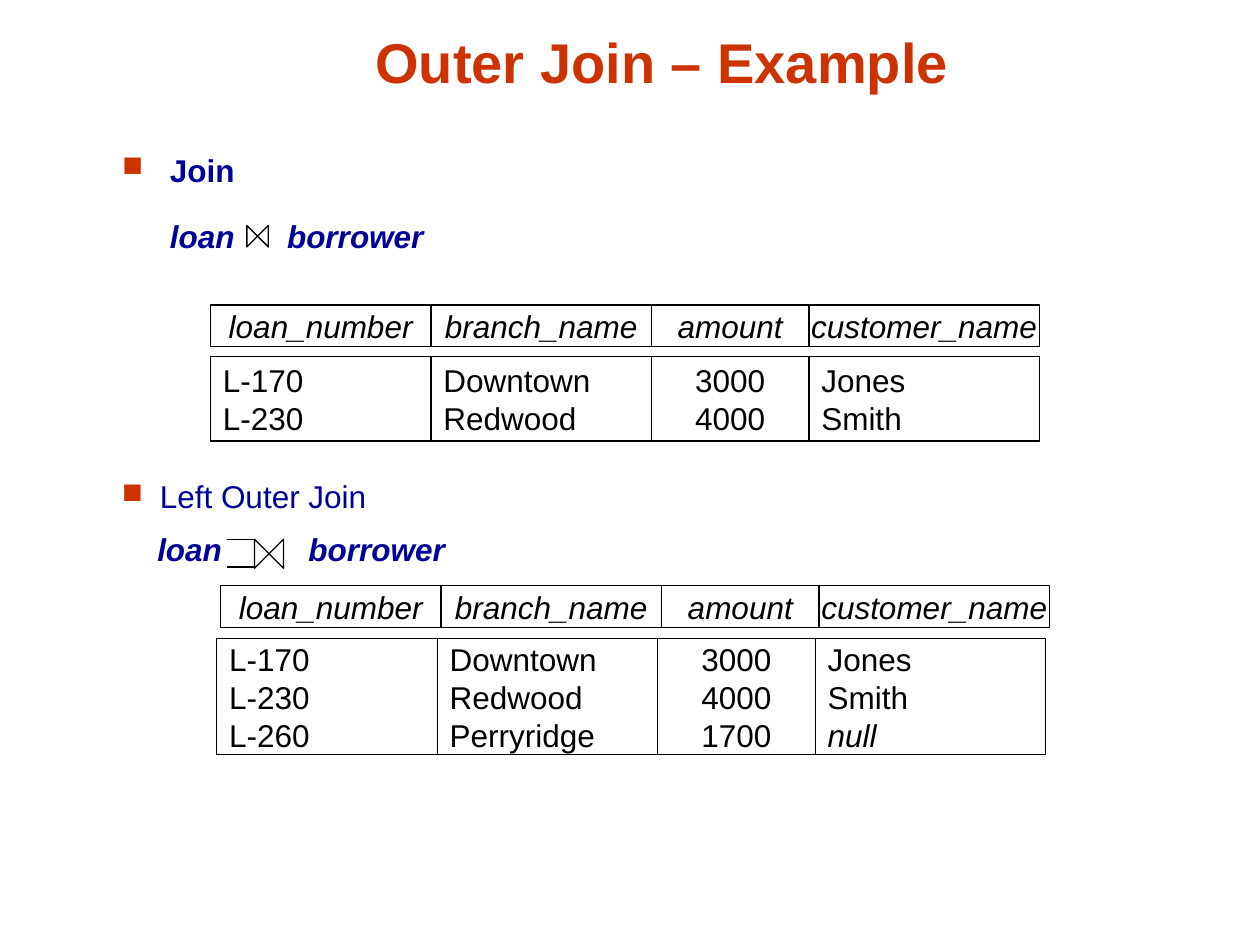
"""Build the outer join example slide."""
from itertools import accumulate
from lxml import etree
from pptx import Presentation
from pptx.dml.color import RGBColor
from pptx.enum.shapes import MSO_CONNECTOR as Conn, MSO_SHAPE as Kind
from pptx.enum.text import MSO_ANCHOR as Anchor, PP_ALIGN as Align
from pptx.oxml.ns import qn
from pptx.util import Inches, Pt

RED, NAVY, BLACK, WHITE = "CC3300", "000099", "000000", "FFFFFF"
BASE = {"name": "Arial", "size": Pt(18)}
TITLE = {"name": "Arial", "size": Pt(32), "bold": True}
BOLD = BASE | {"bold": True}
ITALIC = BASE | {"italic": True}
TERM = BOLD | {"italic": True}

HEADS = ["loan_number", "branch_name", "amount", "customer_name"]
WIDTHS = [1.75, 1.75, 1.25, 1.83]
SIDES = [Align.LEFT, Align.LEFT, Align.CENTER, Align.LEFT]
ROWS = [
    ("L-170", "Downtown", "3000", "Jones"),
    ("L-230", "Redwood", "4000", "Smith"),
    ("L-260", "Perryridge", "1700", "null"),
]
TABLES = [
    {"head": (1.67, 2.42), "body": (1.67, 2.83), "high": 0.67, "rows": ROWS[:2]},
    {"head": (1.75, 4.65), "body": (1.72, 5.07), "high": 0.92, "rows": ROWS},
]
JOINS = [
    {"box": (0.87, 1.18, 7.65, 0.92), "name": "Join", "look": BOLD,
     "indent": 0.38, "tabs": (0.38, 1.31), "space": 0.9, "gap": 18.5},
    {"box": (0.87, 3.74, 4.63, 0.81), "name": "Left Outer Join", "look": BASE,
     "indent": 0.3, "tabs": (0.28, 1.48), "space": 1.0, "gap": 8.5},
]
BOWTIES = [(1.96, 1.79, 0.17), (2.02, 4.28, 0.23)]
BARS = [(2.02, 4.28, 1.8), (2.02, 4.5, 1.8)]


def paint(hue):
    return RGBColor.from_string(hue)


def write(para, text, look, hue):
    run = para.add_run()
    run.text = text
    for key, value in look.items():
        setattr(run.font, key, value)
    run.font.color.rgb = paint(hue)


def add(node, tag, **attrs):
    return etree.SubElement(node, qn(tag), attrs)


def new_box(slide, box):
    frame = slide.shapes.add_textbox(*map(Inches, box)).text_frame
    frame.word_wrap = True
    return frame


def outline(shape):
    shape.line.color.rgb = paint(BLACK)
    shape.line.width = Pt(0.75)


def add_join(slide, join):
    frame = new_box(slide, join["box"])
    head, term = frame.paragraphs[0], frame.add_paragraph()
    props = head._p.get_or_add_pPr()
    indent = Inches(join["indent"])
    props.set("marL", str(indent))
    props.set("indent", str(-indent))
    add(add(props, "a:buClr"), "a:srgbClr", val=RED)
    add(props, "a:buSzPct", val="90000")
    add(props, "a:buChar", char="■")
    stops = add(term._p.get_or_add_pPr(), "a:tabLst")
    for tab in join["tabs"]:
        add(stops, "a:tab", pos=str(Inches(tab)), algn="l")
    head.line_spacing = term.line_spacing = join["space"]
    term.space_before = Pt(join["gap"])
    write(head, join["name"], join["look"], NAVY)
    write(term, "\tloan\tborrower", TERM, NAVY)


def add_cell(slide, box, lines, side, head):
    cell = slide.shapes.add_shape(Kind.RECTANGLE, *map(Inches, box))
    cell.shadow.inherit = False
    cell.fill.solid()
    cell.fill.fore_color.rgb = paint(WHITE)
    outline(cell)
    frame = cell.text_frame
    frame.word_wrap = not head
    frame.vertical_anchor = Anchor.MIDDLE
    for i, line in enumerate(lines):
        para = frame.add_paragraph() if i else frame.paragraphs[0]
        para.alignment = side
        write(para, line, ITALIC if head or line == "null" else BASE, BLACK)


def add_grid(slide, table):
    shifts = accumulate(WIDTHS[:-1], initial=0)
    columns = zip(*table["rows"])
    for shift, wide, name, side, lines in zip(shifts, WIDTHS, HEADS, SIDES, columns):
        left, top = table["head"]
        add_cell(slide, (left + shift, top, wide, 0.33), [name], Align.CENTER, True)
        left, top = table["body"]
        add_cell(slide, (left + shift, top, wide, table["high"]), lines, side, False)


def main():
    deck = Presentation()
    deck.slide_width, deck.slide_height = Inches(10), Inches(7.5)
    slide = deck.slides.add_slide(deck.slide_layouts[6])
    frame = new_box(slide, (0.84, 0.13, 8.83, 0.67))
    frame.vertical_anchor = Anchor.BOTTOM
    frame.paragraphs[0].alignment = Align.CENTER
    write(frame.paragraphs[0], "Outer Join – Example", TITLE, RED)
    for join in JOINS:
        add_join(slide, join)
    for table in TABLES:
        add_grid(slide, table)
    for left, top, size in BOWTIES:
        box = map(Inches, (left, top, size, size))
        tie = slide.shapes.add_shape(Kind.FLOWCHART_COLLATE, *box)
        tie.shadow.inherit = False
        tie.rotation = 270
        tie.fill.background()
        outline(tie)
    for start, top, end in BARS:
        ends = map(Inches, (start, top, end, top))
        bar = slide.shapes.add_connector(Conn.STRAIGHT, *ends)
        outline(bar)
        add(bar._element.spPr, "a:effectLst")
    deck.save("out.pptx")


if __name__ == "__main__":
    main()
